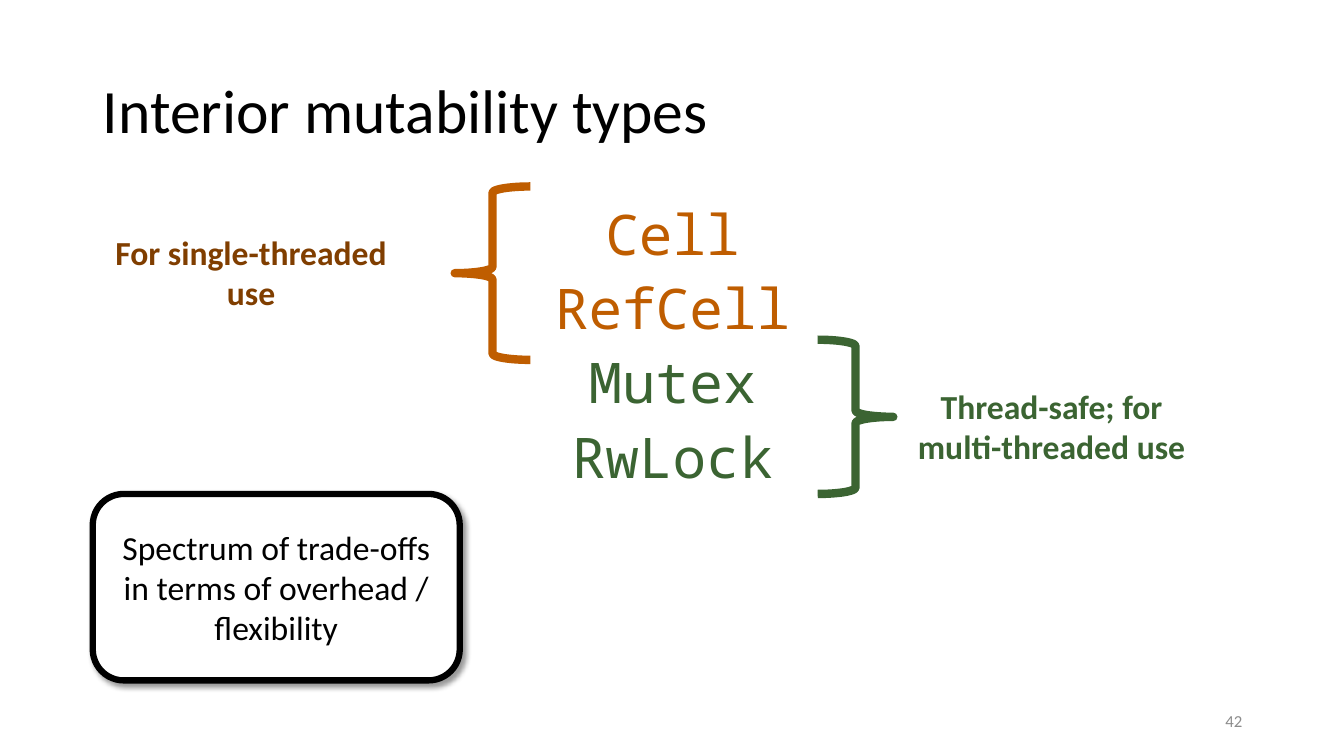
from dataclasses import dataclass

from lxml.etree import SubElement
from pptx import Presentation
from pptx.dml.color import RGBColor
from pptx.enum.shapes import MSO_SHAPE
from pptx.enum.text import MSO_ANCHOR, MSO_AUTO_SIZE, PP_ALIGN
from pptx.oxml.ns import qn
from pptx.util import Inches, Pt


@dataclass(frozen=True)
class Theme:
    sans: str = "Calibri"
    mono: str = "Noto Sans Mono"
    black: str = "000000"
    white: str = "FFFFFF"
    gray: str = "8C8C8C"
    orange: str = "BF5D00"
    brown: str = "803E00"
    green: str = "3B6432"
    title_size: int = 44
    type_size: int = 40
    label_size: int = 24
    number_size: int = 12


THEME = Theme()
TITLE = "Interior mutability types"
TYPES = [
    ("Cell", THEME.orange),
    ("RefCell", THEME.orange),
    ("Mutex", THEME.green),
    ("RwLock", THEME.green),
]
# Label, label colour, label left and top, brace colour, brace box, brace rotation
GROUPS = [
    ("For single-threaded use", THEME.brown, (0.92, 2.25),
     THEME.orange, (4.51, 1.85, 0.75, 1.72), 0),
    ("Thread-safe; for multi-threaded use", THEME.green, (8.86, 3.78),
     THEME.green, (8.11, 3.37, 0.75, 1.53), 180),
]
LABEL_SIZE = (3.14, 0.91)
CALLOUT = "Spectrum of trade-offs in terms of overhead / flexibility"
PAGE_NUMBER = "42"


def inches(*lengths):
    return [Inches(length) for length in lengths]


def place(shape, *bounds):
    shape.left, shape.top, shape.width, shape.height = inches(*bounds)


def write(para, text, size=THEME.label_size, color=THEME.black, font=THEME.sans,
          bold=False, align=PP_ALIGN.CENTER, line_spacing=None, before=0):
    para.alignment = align
    para.space_before = Pt(before)
    if line_spacing:
        para.line_spacing = line_spacing
    span = para.add_run()
    span.text = text
    span.font.name = font
    span.font.size = Pt(size)
    span.font.bold = bold
    span.font.color.rgb = RGBColor.from_string(color)


def prepare(shape, anchor=MSO_ANCHOR.TOP):
    frame = shape.text_frame
    frame.word_wrap = True
    frame.auto_size = MSO_AUTO_SIZE.NONE
    frame.vertical_anchor = anchor
    return frame


def remove_bullet(para):
    properties = para._p.get_or_add_pPr()
    properties.set("marL", "0")
    properties.set("indent", "0")
    SubElement(properties, qn("a:buNone"))


def add_outlined(page, kind, bounds, color, width):
    shape = page.shapes.add_shape(kind, *inches(*bounds))
    shape.shadow.inherit = False
    shape.fill.background()
    shape.line.color.rgb = RGBColor.from_string(color)
    shape.line.width = Pt(width)
    return shape


def add_soft_shadow(shape):
    effects = shape._element.spPr.find(qn("a:effectLst"))
    shadow = SubElement(effects, qn("a:outerShdw"), blurRad=str(Pt(4)),
                        dist=str(Pt(3)), dir=str(45 * 60000),
                        algn="tl", rotWithShape="0")
    color = SubElement(shadow, qn("a:srgbClr"), val=THEME.black)
    SubElement(color, qn("a:alpha"), val="40000")


def add_headings(page):
    title, body = page.placeholders
    place(title, 0.92, 0.4, 10.76, 1.45)
    write(prepare(title, MSO_ANCHOR.MIDDLE).paragraphs[0], TITLE,
          size=THEME.title_size, align=PP_ALIGN.LEFT, line_spacing=0.9)

    place(body, 0.92, 2, 11.5, 4.76)
    frame = prepare(body)
    for index, (name, color) in enumerate(TYPES):
        para = frame.add_paragraph() if index else frame.paragraphs[0]
        remove_bullet(para)
        write(para, name, size=THEME.type_size, color=color, font=THEME.mono,
              line_spacing=0.9, before=10 if index else 0)


def add_groups(page):
    for label, label_color, corner, brace_color, bounds, rotation in GROUPS:
        brace = add_outlined(page, MSO_SHAPE.LEFT_BRACE, bounds, brace_color, 6)
        brace.rotation = rotation
        box = page.shapes.add_textbox(*inches(*corner, *LABEL_SIZE))
        write(prepare(box).paragraphs[0], label, color=label_color, bold=True)


def add_callout(page):
    callout = add_outlined(page, MSO_SHAPE.ROUNDED_RECTANGLE,
                           (0.92, 4.9, 3.64, 1.85), THEME.black, 4.5)
    callout.fill.solid()
    callout.fill.fore_color.rgb = RGBColor.from_string(THEME.white)
    add_soft_shadow(callout)
    write(prepare(callout, MSO_ANCHOR.MIDDLE).paragraphs[0], CALLOUT)


def add_page_number(page):
    box = page.shapes.add_textbox(*inches(9.42, 6.95, 3, 0.4))
    write(prepare(box, MSO_ANCHOR.MIDDLE).paragraphs[0], PAGE_NUMBER,
          size=THEME.number_size, color=THEME.gray, align=PP_ALIGN.RIGHT)


def main():
    deck = Presentation()
    deck.slide_width, deck.slide_height = inches(13.33, 7.5)
    page = deck.slides.add_slide(deck.slide_layouts[1])
    add_headings(page)
    add_page_number(page)
    add_groups(page)
    add_callout(page)
    deck.save("out.pptx")


if __name__ == "__main__":
    main()
